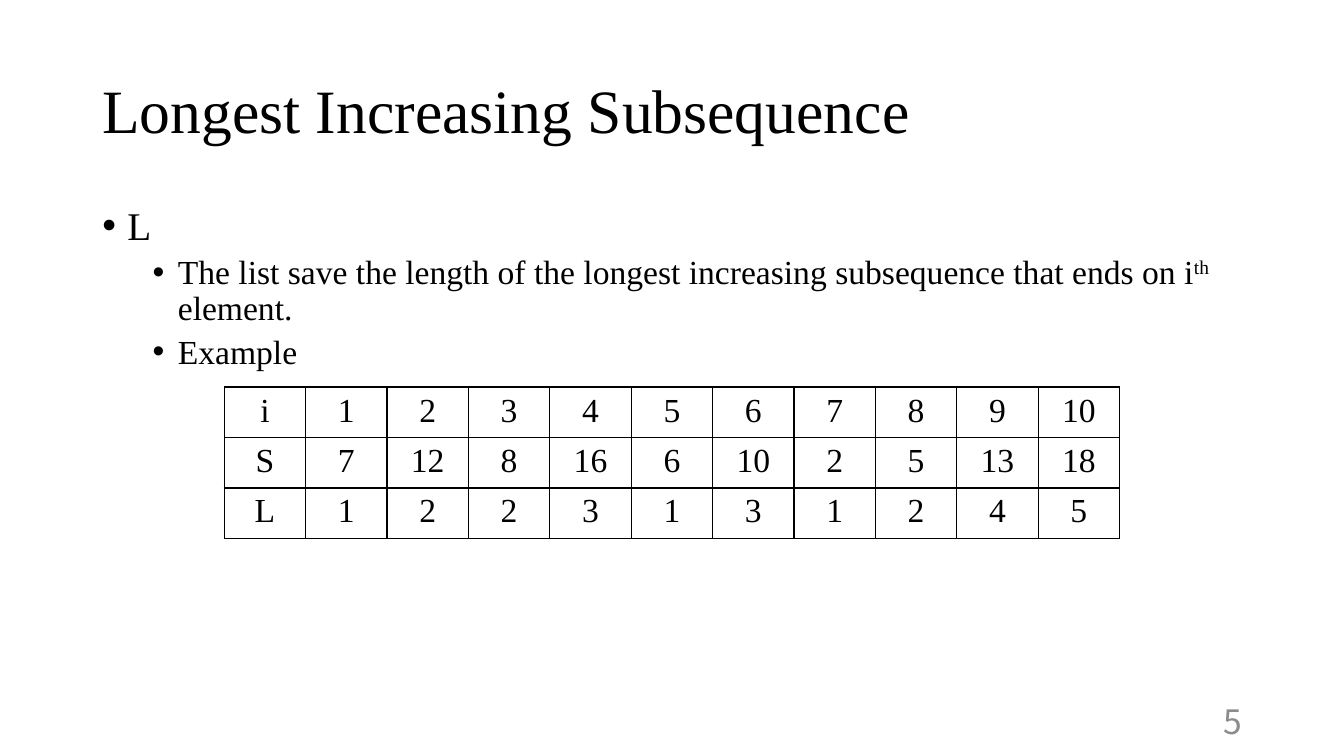
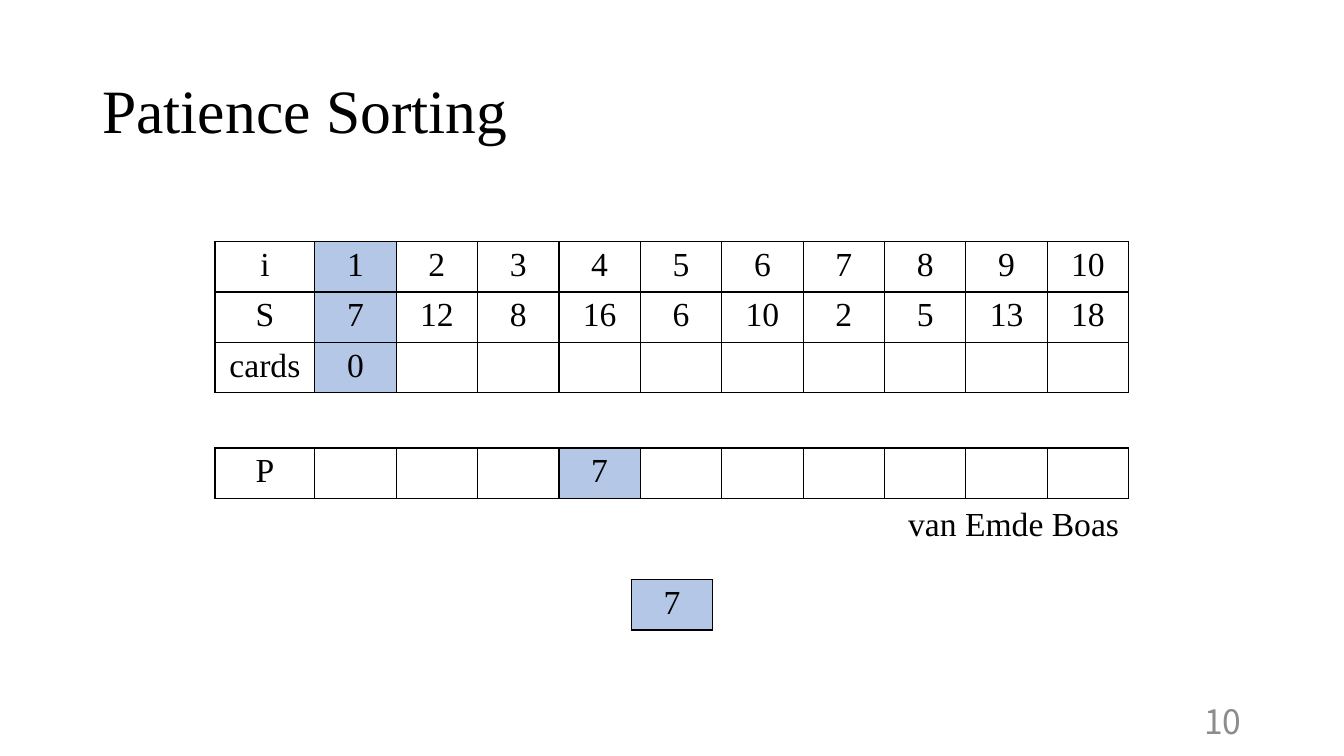
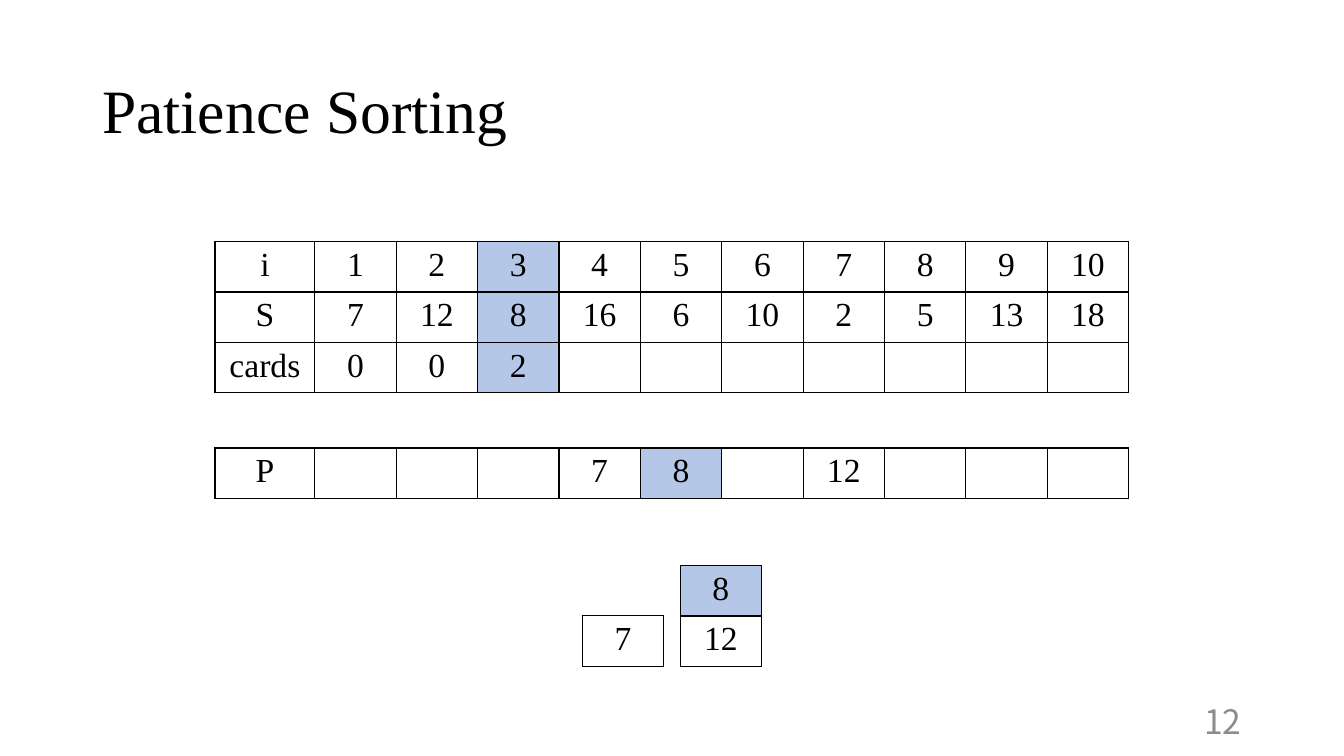
"""Builds three slides on longest increasing subsequences and patience sorting."""
from lxml.etree import SubElement
from pptx import Presentation
from pptx.dml.color import RGBColor
from pptx.enum.text import MSO_ANCHOR, PP_ALIGN
from pptx.oxml.ns import qn
from pptx.util import Pt

SLIDE_WIDTH, SLIDE_HEIGHT = 960, 540
SERIF, SANS = "Times New Roman", "Noto Sans CJK JP"
BLACK, GREY, HIGHLIGHT = "000000", "8C8C8C", "B4C7E7"
COLUMN_WIDTH, LABEL_WIDTH, ROW_HEIGHT = 58.15, 71.2, 33.8
CARD_GAP = 11.7
COLUMN_COUNT = 11

INDEX_ROW = ["i", *range(1, 11)]
SEQUENCE_ROW = ["S", 7, 12, 8, 16, 6, 10, 2, 5, 13, 18]
LENGTH_ROW = ["L", 1, 2, 2, 3, 1, 3, 1, 2, 4, 5]

BULLETS = [
    (0, [("L", False)]),
    (1, [("The list save the length of the longest increasing subsequence that ends on i", False),
         ("th", True), (" element.", False)]),
    (1, [("Example", False)]),
]
BULLET_STYLES = [(28, 18, 10), (24, 54, 5)]

SORTING_STEPS = [
    {"number": 10, "cards": [0], "current": 1, "piles": {4: 7}, "changed": 4,
     "stacks": [(414, [7])], "caption": "van Emde Boas"},
    {"number": 12, "cards": [0, 0, 2], "current": 3, "piles": {4: 7, 5: 8, 7: 12}, "changed": 5,
     "stacks": [(439.9, [7]), (403.9, [8, 12])], "caption": None},
]


def color(value):
    return RGBColor.from_string(value)


def style(font, size, name=SERIF, shade=BLACK):
    font.size, font.name = Pt(size), name
    font.color.rgb = color(shade)


def add_text(page, left, top, width, height, text, size, name=SERIF, shade=BLACK,
             align=PP_ALIGN.LEFT, anchor=MSO_ANCHOR.MIDDLE):
    box = page.shapes.add_textbox(Pt(left), Pt(top), Pt(width), Pt(height))
    frame = box.text_frame
    frame.word_wrap = True
    frame.vertical_anchor = anchor
    frame.text = text
    para = frame.paragraphs[0]
    para.alignment = align
    for span in para.runs:
        style(span.font, size, name, shade)
    return frame


def add_page(deck, title, number):
    page = deck.slides.add_slide(deck.slide_layouts[6])
    frame = add_text(page, 66, 28.75, 828, 104.4, title, 44)
    frame.paragraphs[0].line_spacing = 0.9
    add_text(page, 678, 500.5, 216, 28.75, str(number), 24, SANS, GREY, PP_ALIGN.RIGHT)
    return page


def add_bullets(page):
    frame = add_text(page, 66, 143.75, 828, 342.6, "", 28, anchor=MSO_ANCHOR.TOP)
    for position, (level, spans) in enumerate(BULLETS):
        para = frame.add_paragraph() if position else frame.paragraphs[0]
        size, indent, space = BULLET_STYLES[level]
        properties = para._p.get_or_add_pPr()
        properties.set("marL", str(Pt(indent)))
        properties.set("indent", str(Pt(-18)))
        SubElement(properties, qn("a:buFont"), typeface="Arial")
        SubElement(properties, qn("a:buChar"), char="•")
        para.level = level
        para.line_spacing = 0.9
        para.space_before = Pt(space if position else 0)
        for text, raised in spans:
            span = para.add_run()
            span.text = text
            style(span.font, size)
            if raised:
                span._r.get_or_add_rPr().set("baseline", "30000")


def add_borders(cell):
    properties = cell._tc.get_or_add_tcPr()
    for position, side in enumerate(("lnL", "lnR", "lnT", "lnB")):
        line = properties.makeelement(qn(f"a:{side}"), {"w": str(Pt(1))})
        fill = SubElement(line, qn("a:solidFill"))
        SubElement(fill, qn("a:srgbClr"), val=BLACK)
        properties.insert(position, line)


def add_grid(page, top, rows, widths, marked=(), left=None):
    """Draw a bordered table, centred unless left is given, with marked (row, column) cells filled."""
    width = sum(widths)
    left = (SLIDE_WIDTH - width) / 2 if left is None else left
    table = page.shapes.add_table(len(rows), len(widths), Pt(left), Pt(top), Pt(width),
                                  Pt(ROW_HEIGHT * len(rows))).table
    table.first_row = table.horz_banding = False
    for column, column_width in zip(table.columns, widths):
        column.width = Pt(column_width)
    for row, values in enumerate(rows):
        for column in range(len(widths)):
            cell = table.cell(row, column)
            if (row, column) in marked:
                cell.fill.solid()
                cell.fill.fore_color.rgb = color(HIGHLIGHT)
            else:
                cell.fill.background()
            add_borders(cell)
            cell.text_frame.text = str(values[column]) if column < len(values) else ""
            para = cell.text_frame.paragraphs[0]
            para.alignment = PP_ALIGN.CENTER
            for span in para.runs:
                style(span.font, 24)


def add_stacks(page, stacks, current_card):
    width = len(stacks) * (COLUMN_WIDTH + CARD_GAP) - CARD_GAP
    for position, (top, cards) in enumerate(stacks):
        left = (SLIDE_WIDTH - width) / 2 + position * (COLUMN_WIDTH + CARD_GAP)
        marked = [(row, 0) for row, card in enumerate(cards) if card == current_card]
        add_grid(page, top, [[card] for card in cards], [COLUMN_WIDTH], marked, left)


def add_sorting_page(deck, step):
    page = add_page(deck, "Patience Sorting", step["number"])
    widths = [LABEL_WIDTH] + [COLUMN_WIDTH] * (COLUMN_COUNT - 1)
    rows = [INDEX_ROW, SEQUENCE_ROW, ["cards", *step["cards"]]]
    add_grid(page, 172.5, rows, widths, [(row, step["current"]) for row in range(len(rows))])
    piles = ["P"] + [step["piles"].get(column, "") for column in range(1, COLUMN_COUNT)]
    add_grid(page, 320, [piles], widths, [(0, step["changed"])])
    add_stacks(page, step["stacks"], SEQUENCE_ROW[step["current"]])
    if step["caption"]:
        add_text(page, 599, 355.7, 207.4, 36, step["caption"], 24, align=PP_ALIGN.RIGHT,
                 anchor=MSO_ANCHOR.TOP)


def main():
    deck = Presentation()
    deck.slide_width, deck.slide_height = Pt(SLIDE_WIDTH), Pt(SLIDE_HEIGHT)
    page = add_page(deck, "Longest Increasing Subsequence", 5)
    add_bullets(page)
    add_grid(page, 276.5, [INDEX_ROW, SEQUENCE_ROW, LENGTH_ROW], [COLUMN_WIDTH] * COLUMN_COUNT)
    for step in SORTING_STEPS:
        add_sorting_page(deck, step)
    deck.save("out.pptx")


if __name__ == "__main__":
    main()
